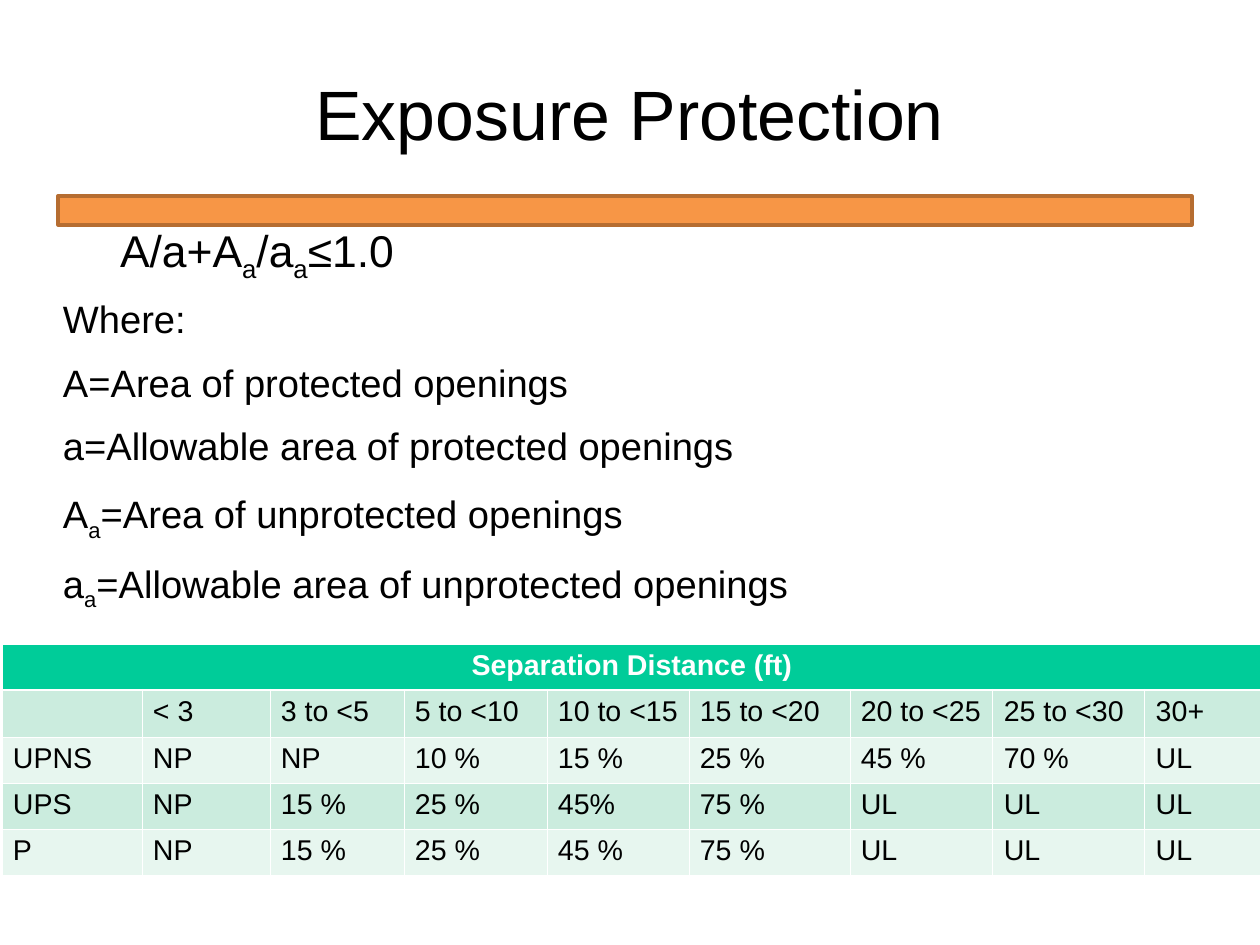
from lxml.etree import SubElement
from pptx import Presentation
from pptx.dml.color import RGBColor
from pptx.enum.shapes import MSO_SHAPE
from pptx.enum.text import MSO_ANCHOR, MSO_AUTO_SIZE, PP_ALIGN
from pptx.oxml.ns import qn
from pptx.util import Pt

PX = 8000


def color(target, value):
    target.rgb = RGBColor.from_string(value)


def style_font(font, size, value, bold=False):
    font.name = "Arial"
    font.size = Pt(size)
    font.bold = bold
    color(font.color, value)


presentation = Presentation()
presentation.slide_width = 1260 * PX
presentation.slide_height = 945 * PX
slide = presentation.slides.add_slide(presentation.slide_layouts[1])
title, body = slide.placeholders

bar = slide.shapes.add_shape(MSO_SHAPE.RECTANGLE, 58 * PX, 196 * PX, 1134 * PX, 29 * PX)
bar.shadow.inherit = False
bar.fill.solid()
color(bar.fill.fore_color, "F79646")
color(bar.line.color, "B66D31")
bar.line.width = Pt(2)

for placeholder, left, top, width, height, inset in (
    (title, 63, 38, 1134, 158, 0),
    (body, 63, 221, 1129, 624, 3),
):
    placeholder.left, placeholder.top = left * PX, top * PX
    placeholder.width, placeholder.height = width * PX, height * PX
    frame = placeholder.text_frame
    frame.margin_left = frame.margin_right = 0
    frame.margin_top = frame.margin_bottom = inset * PX
    frame.word_wrap = True
    frame.auto_size = MSO_AUTO_SIZE.NONE

title.text_frame.text = "Exposure Protection"
title.text_frame.vertical_anchor = MSO_ANCHOR.MIDDLE
heading = title.text_frame.paragraphs[0]
heading.alignment = PP_ALIGN.CENTER
heading.line_spacing = 0.93
style_font(heading.runs[0].font, 44, "000000")

# Every second part of a line is a subscript.
lines = [
    (28, 57, ["A/a+A", "a", "/a", "a", "≤1.0"]),
    (24, 0, ["Where:"]),
    (24, 0, ["A=Area of protected openings"]),
    (24, 0, ["a=Allowable area of protected openings"]),
    (24, 0, ["A", "a", "=Area of unprotected openings"]),
    (24, 0, ["a", "a", "=Allowable area of unprotected openings"]),
]
for number, (size, indent, parts) in enumerate(lines):
    frame = body.text_frame
    paragraph = frame.add_paragraph() if number else frame.paragraphs[0]
    paragraph.line_spacing = 0.9
    paragraph.space_before = Pt(0)
    paragraph.space_after = Pt(14.1)
    properties = paragraph._p.get_or_add_pPr()
    properties.set("marL", "0")
    properties.set("indent", str(indent * PX))
    SubElement(properties, qn("a:buNone"))
    for position, part in enumerate(parts):
        run = paragraph.add_run()
        run.text = part
        style_font(run.font, size, "000000")
        if position % 2:
            run._r.get_or_add_rPr().set("baseline", "-25000")

rows = [
    ["Separation Distance (ft)"] + [""] * 8,
    ["", "< 3", "3 to <5", "5 to <10", "10 to <15", "15 to <20", "20 to <25", "25 to <30", "30+"],
    ["UPNS", "NP", "NP", "10 %", "15 %", "25 %", "45 %", "70 %", "UL"],
    ["UPS", "NP", "15 %", "25 %", "45%", "75 %", "UL", "UL", "UL"],
    ["P", "NP", "15 %", "25 %", "45 %", "75 %", "UL", "UL", "UL"],
]
column_widths = [140, 128, 134, 143, 142, 161, 143, 152, 117]
row_height = 46
table = slide.shapes.add_table(
    len(rows), len(column_widths), 2 * PX, 644 * PX,
    sum(column_widths) * PX, len(rows) * row_height * PX,
).table
for column, width in zip(table.columns, column_widths):
    column.width = width * PX
table.cell(0, 0).merge(table.cell(0, 8))

for row_number, row in enumerate(rows):
    header = row_number == 0
    fill = "00CC99" if header else ("E7F6EF", "CBECDE")[row_number % 2]
    for column_number, text in enumerate(row):
        cell = table.cell(row_number, column_number)
        cell.margin_left = cell.margin_right = 11 * PX
        cell.margin_top = cell.margin_bottom = 6 * PX
        cell_properties = cell._tc.get_or_add_tcPr()
        for side in ("lnL", "lnR", "lnT", "lnB"):
            thick = (row_number, side) in ((0, "lnB"), (1, "lnT"))
            border = SubElement(cell_properties, qn(f"a:{side}"), w=str(Pt(1.47 if thick else 0.45)))
            SubElement(SubElement(border, qn("a:solidFill")), qn("a:srgbClr"), val="FFFFFF")
        cell.fill.solid()
        color(cell.fill.fore_color, fill)
        if text:
            cell.text_frame.text = text
            paragraph = cell.text_frame.paragraphs[0]
            paragraph.alignment = PP_ALIGN.CENTER if header else PP_ALIGN.LEFT
            style_font(paragraph.runs[0].font, 18, "FFFFFF" if header else "000000", header)

presentation.save("out.pptx")
